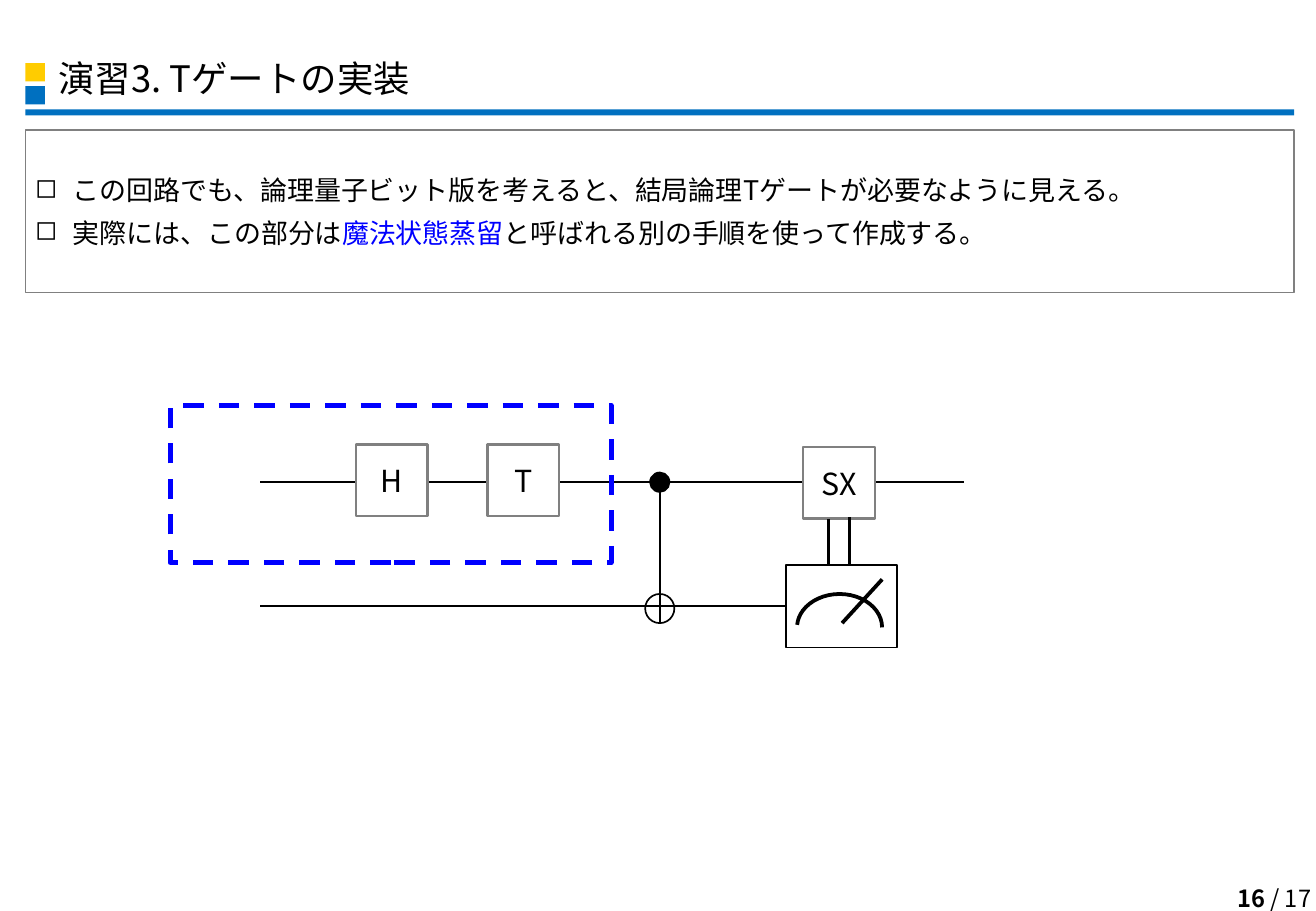
"""Build the slide about implementing the T gate."""
from lxml import etree
from pptx import Presentation
from pptx import util as u
from pptx.dml.color import RGBColor
from pptx.enum import dml, shapes, text
from pptx.oxml import ns

FONT = "Noto Sans CJK JP"
BLACK = RGBColor(0, 0, 0)
WHITE = RGBColor(255, 255, 255)
GRAY = RGBColor(128, 128, 128)
BLUE = RGBColor(0, 0, 255)
HEADER_BLUE = RGBColor(0, 112, 192)
YELLOW = RGBColor(255, 204, 0)
KIND = shapes.MSO_SHAPE

TITLE = "演習3. Tゲートの実装"
PAGE_NUMBER = [("16", BLACK, True), (" / 17", BLACK, False)]
NOTES = [
    [("この回路でも、論理量子ビット版を考えると、結局論理Tゲートが必要なように見える。", BLACK, False)],
    [("実際には、この部分は", BLACK, False), ("魔法状態蒸留", BLUE, False),
     ("と呼ばれる別の手順を使って作成する。", BLACK, False)],
]
HEADER_BARS = [
    (0.21, 0.9, 10.44, 0.05, HEADER_BLUE),
    (0.21, 0.71, 0.16, 0.15, HEADER_BLUE),
    (0.21, 0.52, 0.16, 0.15, YELLOW),
]
GATES = [("H", 2.93, 3.66), ("T", 4.01, 3.66), ("SX", 6.61, 3.68)]
GATE_SIZE = 0.59
WIRE_LEFT, WIRE_RIGHT = 2.14, 7.93
UPPER_WIRE, LOWER_WIRE = 3.97, 5
CNOT_X, CONTROL_RADIUS, TARGET_RADIUS = 5.43, 0.08, 0.12
TARGET_Y = 5.01
METER = (6.47, 4.65, 0.91, 0.68)
CLASSICAL_BITS = [(6.82, 4.27), (6.99, 4.26)]
CLASSICAL_LENGTH = 0.38


def add_box(slide, kind, left, top, width, height, fill=None, line=None, weight=1):
    shape = slide.shapes.add_shape(kind, *map(u.Inches, (left, top, width, height)))
    shape.shadow.inherit = False
    if fill is None:
        shape.fill.background()
    else:
        shape.fill.solid()
        shape.fill.fore_color.rgb = fill
    if line is None:
        shape.line.fill.background()
    else:
        shape.line.color.rgb = line
        shape.line.width = u.Pt(weight)
    return shape


def add_circle(slide, x, y, radius, fill=None):
    return add_box(slide, KIND.OVAL, x - radius, y - radius, 2 * radius, 2 * radius, fill, BLACK)


def add_line(slide, x1, y1, x2, y2, weight=1.5):
    line = slide.shapes.add_connector(
        shapes.MSO_CONNECTOR.STRAIGHT, *map(u.Inches, (x1, y1, x2, y2)))
    line.line.color.rgb = BLACK
    line.line.width = u.Pt(weight)
    etree.SubElement(line._element.spPr, ns.qn("a:effectLst"))
    return line


def add_runs(paragraph, pieces, size):
    for words, color, bold in pieces:
        run = paragraph.add_run()
        run.text = words
        run.font.name = FONT
        run.font.size = u.Pt(size)
        run.font.bold = bold
        run.font.color.rgb = color
        east_asian = etree.SubElement(run.font._element, ns.qn("a:ea"))
        east_asian.set("typeface", FONT)


def add_text(slide, left, top, width, height, pieces, size, wrap=True):
    box = slide.shapes.add_textbox(*map(u.Inches, (left, top, width, height)))
    frame = box.text_frame
    frame.word_wrap = wrap
    frame.vertical_anchor = text.MSO_ANCHOR.MIDDLE
    add_runs(frame.paragraphs[0], pieces, size)
    return frame.paragraphs[0]


def add_bullet(paragraph):
    properties = paragraph._p.get_or_add_pPr()
    properties.set("marL", str(u.Inches(0.31)))
    properties.set("indent", str(u.Inches(-0.31)))
    color = etree.SubElement(properties, ns.qn("a:buClr"))
    etree.SubElement(color, ns.qn("a:srgbClr")).set("val", str(BLACK))
    etree.SubElement(properties, ns.qn("a:buChar")).set("char", "◻")


def add_header(slide):
    for left, top, width, height, color in HEADER_BARS:
        add_box(slide, KIND.RECTANGLE, left, top, width, height, color)
    title = add_text(slide, 0.38, 0.44, 10.28, 0.45, [(TITLE, BLACK, False)], 21.6)
    title.line_spacing = 0.9
    page = add_text(slide, 9.85, 7.22, 1.04, 0.34, PAGE_NUMBER, 14, wrap=False)
    page.alignment = text.PP_ALIGN.RIGHT


def add_notes_box(slide):
    box = add_box(slide, KIND.RECTANGLE, 0.21, 1.07, 10.44, 1.34, line=GRAY, weight=0.75)
    frame = box.text_frame
    frame.word_wrap = True
    frame.vertical_anchor = text.MSO_ANCHOR.MIDDLE
    frame.margin_left = frame.margin_right = u.Inches(0.08)
    frame.margin_top = frame.margin_bottom = u.Inches(0.04)
    for index, pieces in enumerate(NOTES):
        paragraph = frame.add_paragraph() if index else frame.paragraphs[0]
        add_bullet(paragraph)
        paragraph.alignment = text.PP_ALIGN.LEFT
        if index:
            paragraph.space_before = u.Pt(6)
        add_runs(paragraph, pieces, 16)


def add_circuit(slide):
    add_line(slide, WIRE_LEFT, UPPER_WIRE, WIRE_RIGHT, UPPER_WIRE)
    for label, left, top in GATES:
        gate = add_box(slide, KIND.RECTANGLE, left, top, GATE_SIZE, GATE_SIZE, WHITE, GRAY, 1.5)
        gate.text_frame.vertical_anchor = text.MSO_ANCHOR.MIDDLE
        gate.text_frame.word_wrap = True
        paragraph = gate.text_frame.paragraphs[0]
        paragraph.alignment = text.PP_ALIGN.CENTER
        add_runs(paragraph, [(label, BLACK, False)], 18)

    meter = add_box(slide, KIND.RECTANGLE, *METER, line=BLACK)
    lower_wire = add_line(slide, WIRE_LEFT, LOWER_WIRE, METER[0], LOWER_WIRE)
    lower_wire.end_connect(meter, 1)
    lower_wire.begin_y = lower_wire.end_y
    dial = add_box(slide, KIND.ARC, 6.56, 4.89, 0.7, 0.55, line=BLACK, weight=2.25)
    dial.adjustments[0] = 110.07
    dial.adjustments[1] = 0
    add_line(slide, 6.93, 5.13, 7.26, 4.77, 2.25)

    add_circle(slide, CNOT_X, UPPER_WIRE, CONTROL_RADIUS, BLACK)
    add_circle(slide, CNOT_X, TARGET_Y, TARGET_RADIUS)
    add_line(slide, CNOT_X, UPPER_WIRE + CONTROL_RADIUS, CNOT_X, TARGET_Y + TARGET_RADIUS)
    for x, top in CLASSICAL_BITS:
        add_line(slide, x, top, x, top + CLASSICAL_LENGTH)

    magic_state = add_box(slide, KIND.RECTANGLE, 1.4, 3.34, 3.63, 1.29, line=BLUE, weight=3)
    magic_state.line.dash_style = dml.MSO_LINE.DASH


def main():
    presentation = Presentation()
    presentation.slide_width = u.Inches(10.83)
    presentation.slide_height = u.Inches(7.5)
    slide = presentation.slides.add_slide(presentation.slide_layouts[6])
    add_header(slide)
    add_notes_box(slide)
    add_circuit(slide)
    presentation.save("out.pptx")


if __name__ == "__main__":
    main()
